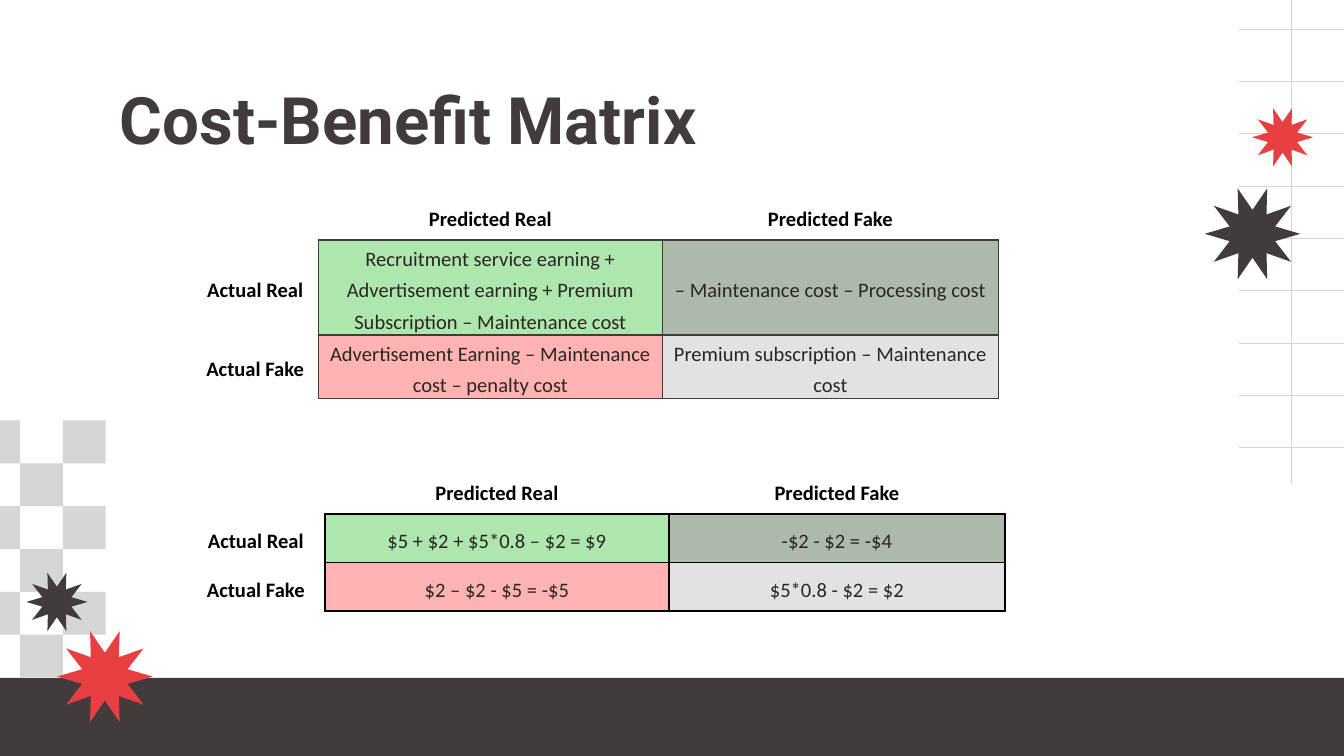
from math import cos, pi, sin

from lxml import etree
from pptx import Presentation
from pptx.dml.color import RGBColor
from pptx.enum.shapes import MSO_CONNECTOR, MSO_SHAPE
from pptx.enum.text import MSO_ANCHOR, PP_ALIGN
from pptx.oxml.ns import qn
from pptx.util import Pt

RECT = MSO_SHAPE.RECTANGLE
STRAIGHT = MSO_CONNECTOR.STRAIGHT
TOP, MIDDLE = MSO_ANCHOR.TOP, MSO_ANCHOR.MIDDLE
LEFT, CENTER = PP_ALIGN.LEFT, PP_ALIGN.CENTER

WIDE, HIGH = 720, 405
HEX = {
    "dark": "423B3B", "red": "E73F42", "grey": "D6D6D5",
    "black": "000000", "ink": "2B2624", "green": "ADE7AD",
    "sage": "ADB9AB", "pink": "FFB3B3", "pale": "E2E2E2",
}
FILLS = [["green", "sage"], ["pink", "pale"]]
HEADS = ["", "Predicted Real", "Predicted Fake"]
VALUES = [
    HEADS,
    ["Actual Real", "$5 + $2 + $5*0.8 – $2 = $9", "-$2 - $2 = -$4"],
    ["Actual Fake", "$2 – $2 - $5 = -$5", "$5*0.8 - $2 = $2"],
]
TERMS = [
    HEADS,
    ["Actual Real",
     "Recruitment service earning + Advertisement earning + "
     "Premium Subscription – Maintenance cost",
     "– Maintenance cost – Processing cost"],
    ["Actual Fake",
     "Advertisement Earning – Maintenance cost – penalty cost",
     "Premium subscription – Maintenance cost"],
]


def color(name):
    return RGBColor.from_string(HEX[name])


class Deck:
    """Style and current slide."""

    def __init__(self, slide):
        self.slide = slide
        self.shapes = slide.shapes

    def paint(self, shape, fill):
        shape.shadow.inherit = False
        shape.fill.solid()
        shape.fill.fore_color.rgb = color(fill)
        shape.line.fill.background()

    def rect(self, x, y, w, h, fill):
        self.paint(self.shapes.add_shape(RECT, Pt(x), Pt(y), Pt(w), Pt(h)), fill)

    def line(self, x1, y1, x2, y2):
        line = self.shapes.add_connector(STRAIGHT, Pt(x1), Pt(y1), Pt(x2), Pt(y2))
        line.line.color.rgb = color("grey")
        line.line.width = Pt(0.39)
        etree.SubElement(line._element.spPr, qn("a:effectLst"))

    def star(self, x, y, size, fill):
        """Ten-pointed star centred on x, y with outer radius size."""
        dots = []
        for i in range(20):
            reach = size if i % 2 else size / 2
            turn = i * pi / 10
            dots.append((Pt(x + reach * sin(turn)), Pt(y - reach * cos(turn))))
        form = self.shapes.build_freeform(*dots[0])
        form.add_line_segments(dots[1:], close=True)
        self.paint(form.convert_to_shape(), fill)

    def run(self, para, text, font, size, ink, bold):
        run = para.add_run()
        run.text = text
        run.font.name = font
        run.font.size = Pt(size)
        run.font.bold = bold
        run.font.color.rgb = color(ink)

    def title(self, text, x, y, w, h):
        box = self.shapes.title
        box.left, box.top, box.width, box.height = Pt(x), Pt(y), Pt(w), Pt(h)
        frame = box.text_frame
        frame.word_wrap = True
        frame.vertical_anchor = TOP
        frame.margin_left = frame.margin_right = Pt(7.2)
        frame.margin_top = frame.margin_bottom = Pt(7.2)
        para = frame.paragraphs[0]
        para.alignment = LEFT
        self.run(para, text, "Roboto", 35, "dark", True)

    def border(self, cell, sides, ink):
        """Draw the named sides (of L, R, T, B) and clear the others."""
        props = cell._tc.get_or_add_tcPr()
        for side in "LRTB":
            edge = etree.SubElement(props, qn("a:ln" + side), w=str(Pt(1)))
            if side in sides:
                fill = etree.SubElement(edge, qn("a:solidFill"))
                etree.SubElement(fill, qn("a:srgbClr"), val=HEX[ink])
            else:
                etree.SubElement(edge, qn("a:noFill"))

    def cell(self, cell, text, row, col, ink):
        body = row > 0 and col > 0
        cell.vertical_anchor = MIDDLE
        cell.margin_left = cell.margin_right = Pt(5)
        cell.margin_top = cell.margin_bottom = 0
        if body:
            self.border(cell, "LRTB", ink)
            cell.fill.solid()
            cell.fill.fore_color.rgb = color(FILLS[row - 1][col - 1])
        else:
            self.border(cell, "B" if col else "R" if row else "", ink)
            cell.fill.background()
        if text:
            para = cell.text_frame.paragraphs[0]
            para.alignment = CENTER
            para.line_spacing = 1.25
            self.run(para, text, "Calibri", 11, "ink" if body else "black", not body)

    def table(self, x, y, cols, rows, ink):
        high = 26
        frame = self.shapes.add_table(len(rows), len(cols), Pt(x), Pt(y),
                                      Pt(sum(cols)), Pt(high * len(rows)))
        table = frame.table
        table.first_row = table.horz_banding = False
        for i, wide in enumerate(cols):
            table.columns[i].width = Pt(wide)
        for r, row in enumerate(rows):
            for c, text in enumerate(row):
                self.cell(table.cell(r, c), text, r, c, ink)


def main():
    prs = Presentation()
    prs.slide_width, prs.slide_height = Pt(WIDE), Pt(HIGH)
    deck = Deck(prs.slides.add_slide(prs.slide_layouts[5]))

    # The grid lines bleed past the top and right edges.
    span = 405
    deck.line(692, 260 - span, 692, 260)
    for i in range(9):
        y = 15.6 + 28.02 * i
        deck.line(664 + span, y, 664, y)

    deck.rect(0, 363.2, WIDE, HIGH - 363.2, "dark")

    side = 22.95
    for col in range(3):
        for row in range(col % 2, 6, 2):
            deck.rect(-12.2 + side * col, 225.3 + side * row, side, side, "grey")

    deck.star(671, 125.3, 25.6, "dark")
    deck.star(56.2, 362.5, 25.6, "red")
    deck.star(30.5, 322.5, 16.4, "dark")
    deck.star(687.1, 73.6, 16.4, "red")

    deck.title("Cost-Benefit Matrix", 57, 35.4, 607, 45.3)
    deck.table(100, 249.4, [74.1, 184.3, 180], VALUES, "black")
    deck.table(102.9, 102.6, [67.7, 184.3, 180], TERMS, "dark")
    prs.save("out.pptx")


if __name__ == "__main__":
    main()
